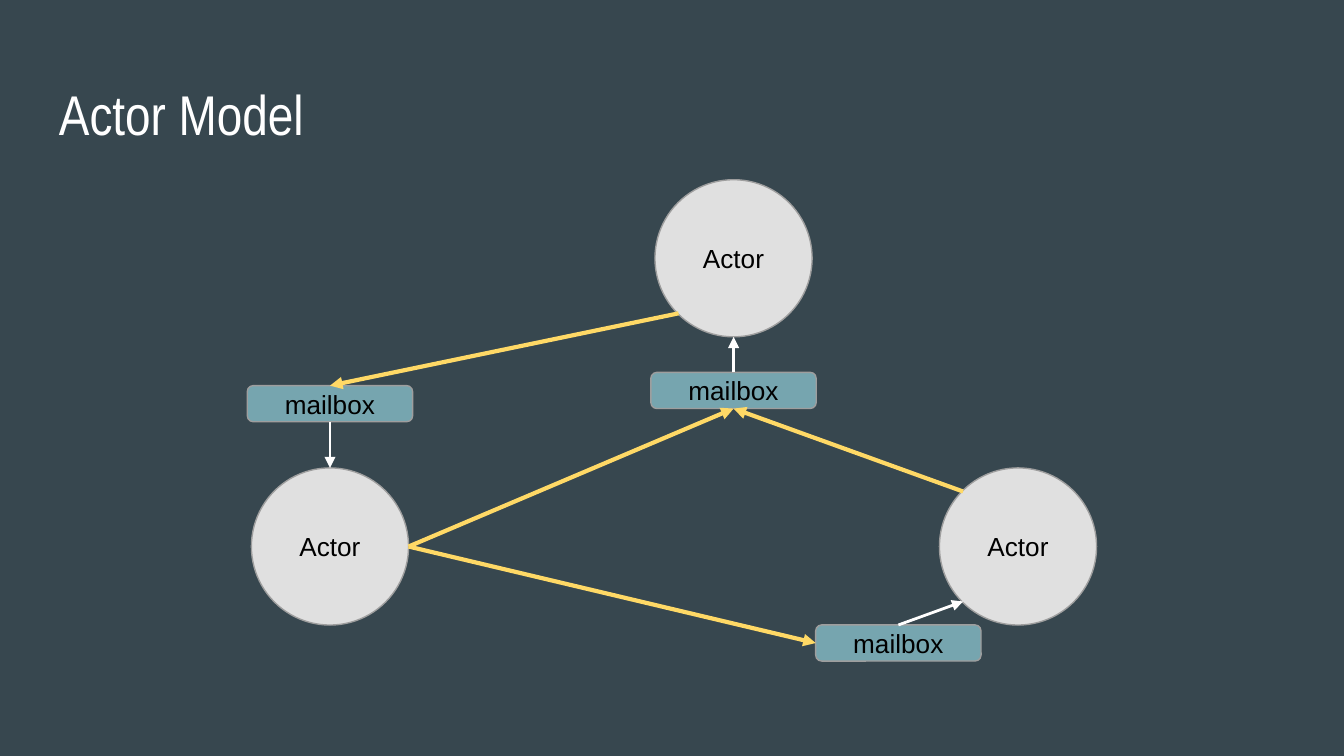
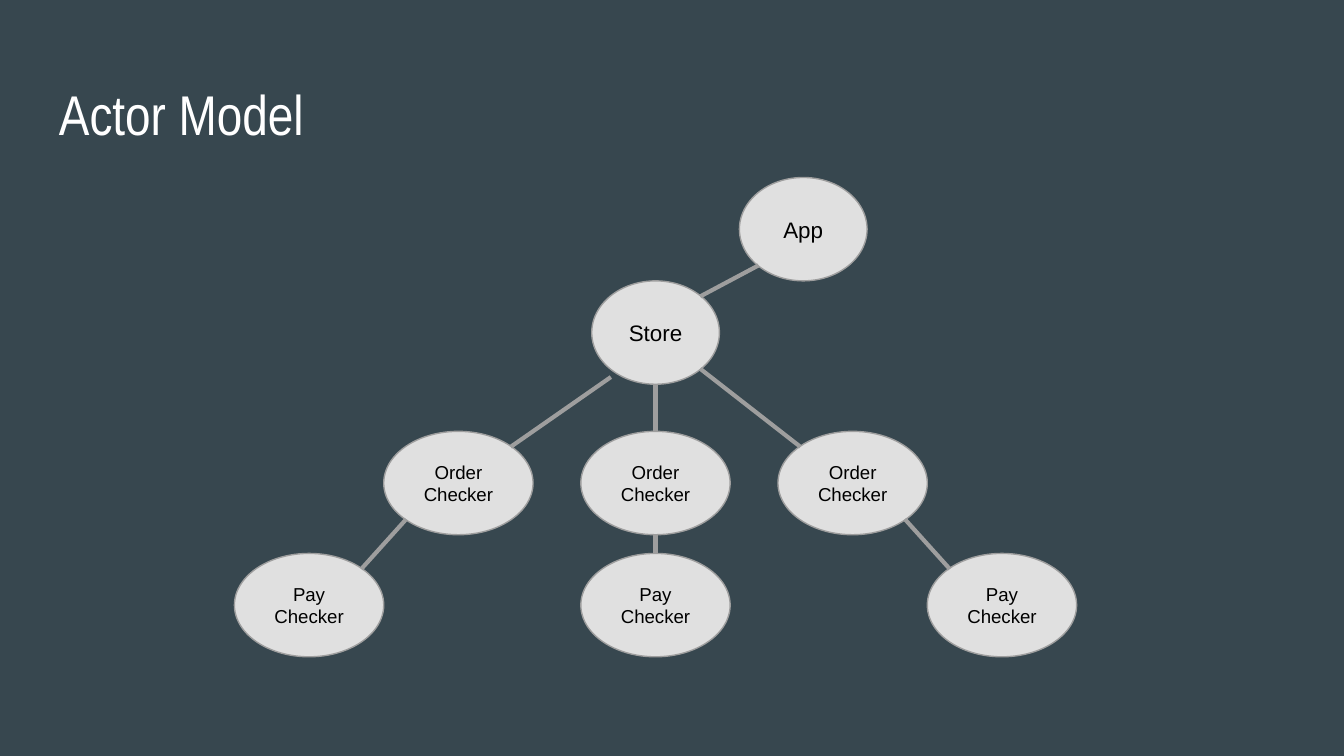
from lxml import etree
from pptx import Presentation
from pptx.dml.color import RGBColor
from pptx.enum import shapes, text
from pptx.oxml import ns
from pptx.util import Pt

SLATE = RGBColor(0x37, 0x47, 0x4F)
WHITE = RGBColor(0xFF, 0xFF, 0xFF)
BLACK = RGBColor(0x00, 0x00, 0x00)
PALE = RGBColor(0xE0, 0xE0, 0xE0)
GREY = RGBColor(0x9E, 0x9E, 0x9E)
TEAL = RGBColor(0x76, 0xA5, 0xAF)
YELLOW = RGBColor(0xFF, 0xD9, 0x66)

OVAL = shapes.MSO_SHAPE.OVAL
ROUNDED = shapes.MSO_SHAPE.ROUNDED_RECTANGLE

# Attachment points as fractions of a node's width and height
SITES = {
    "top": (0.5, 0), "bottom": (0.5, 1), "left": (0, 0.5), "right": (1, 0.5),
    "top left": (0.15, 0.15), "top right": (0.85, 0.15),
    "bottom left": (0.15, 0.85), "bottom right": (0.85, 0.85),
    "low left": (0.15, 0.93),
}


def add_node(slide, kind, center, size, label, font_size, fill=PALE):
    """Draw a labelled node; in the label \\n starts a paragraph, \\v a line."""
    (x, y), (width, height) = center, size
    node = slide.shapes.add_shape(
        kind, Pt(x - width / 2), Pt(y - height / 2), Pt(width), Pt(height))
    node.shadow.inherit = False
    node.fill.solid()
    node.fill.fore_color.rgb = fill
    node.line.color.rgb = GREY
    node.line.width = Pt(0.75)
    frame = node.text_frame
    frame.word_wrap = True
    frame.vertical_anchor = text.MSO_ANCHOR.MIDDLE
    frame.margin_left = frame.margin_right = Pt(7.2)
    frame.margin_top = frame.margin_bottom = Pt(7.2)
    for p, words in enumerate(label.split("\n")):
        paragraph = frame.add_paragraph() if p else frame.paragraphs[0]
        paragraph.alignment = text.PP_ALIGN.CENTER
        for n, line in enumerate(words.split("\v")):
            if n:
                paragraph.add_line_break()
            run = paragraph.add_run()
            run.text = line
            run.font.size = Pt(font_size)
            run.font.name = "Arial"
            run.font.color.rgb = BLACK
    return node


def link(slide, start, start_site, end, end_site, color, width=2.25, arrow=False):
    points = []
    for node, site in ((start, start_site), (end, end_site)):
        across, down = SITES[site]
        points += [round(node.left + across * node.width),
                   round(node.top + down * node.height)]
    line = slide.shapes.add_connector(shapes.MSO_CONNECTOR.STRAIGHT, *points)
    line.line.color.rgb = color
    line.line.width = Pt(width)
    if arrow:
        etree.SubElement(line.line._get_or_add_ln(), ns.qn("a:tailEnd"), type="triangle")
    etree.SubElement(line._element.spPr, ns.qn("a:effectLst"))


prs = Presentation()
prs.slide_width, prs.slide_height = Pt(720), Pt(405)

slides = []
for heading in ("Actor Model", "Actor Model"):
    slide = prs.slides.add_slide(prs.slide_layouts[6])
    slide.background.fill.solid()
    slide.background.fill.fore_color.rgb = SLATE
    title = slide.shapes.add_textbox(Pt(24.5), Pt(35.3), Pt(671), Pt(45.4)).text_frame
    title.word_wrap = True
    title.margin_left = title.margin_right = Pt(7.2)
    title.margin_top = title.margin_bottom = Pt(7.2)
    run = title.paragraphs[0].add_run()
    run.text = heading
    run.font.size = Pt(30)
    run.font.name = "Arial Narrow"
    run.font.color.rgb = WHITE
    slides.append(slide)
messages, hierarchy = slides

# Actors exchanging messages through mailboxes
top_actor, right_actor, left_actor = [
    add_node(messages, OVAL, center, (84.2, 84.2), "Actor", 14)
    for center in ((393, 138.4), (545.4, 292.8), (176.8, 292.8))]
left_box, right_box, top_box = [
    add_node(messages, ROUNDED, center, (88.6, 19.4), "mailbox", 14, TEAL)
    for center in ((176.8, 216.3), (481.3, 344.5), (393, 209.2))]

for sender, sender_site, box, box_site in (
        (left_actor, "right", right_box, "left"),
        (right_actor, "top left", top_box, "bottom"),
        (top_actor, "bottom left", left_box, "top"),
        (left_actor, "right", top_box, "bottom")):
    link(messages, sender, sender_site, box, box_site, YELLOW, arrow=True)
for box, box_site, actor, actor_site in (
        (right_box, "top", right_actor, "bottom left"),
        (top_box, "top", top_actor, "bottom"),
        (left_box, "bottom", left_actor, "top")):
    link(messages, box, box_site, actor, actor_site, WHITE, 1.5, arrow=True)

# Actor hierarchy: app, store, then one branch per side
AXIS = 351.2
app = add_node(hierarchy, OVAL, (430.3, 122.8), (68.4, 55.4), "App", 12)
store = add_node(hierarchy, OVAL, (AXIS, 178.2), (68.4, 55.4), "Store", 12)
link(hierarchy, app, "bottom left", store, "top right", GREY)

for side, store_site, order_top, order_bottom, pay_top in (
        (-1, "low left", "top right", "bottom left", "top right"),
        (0, "bottom", "top", "bottom", "top"),
        (1, "bottom right", "top left", "bottom right", "top left")):
    order = add_node(hierarchy, OVAL, (AXIS + side * 105.6, 258.8), (80, 55.4),
                     "Order\vChecker", 10)
    pay = add_node(hierarchy, OVAL, (AXIS + side * 185.6, 324.2), (80, 55.4),
                   "Pay\nChecker", 10)
    link(hierarchy, store, store_site, order, order_top, GREY)
    link(hierarchy, order, order_bottom, pay, pay_top, GREY)

prs.save("out.pptx")
